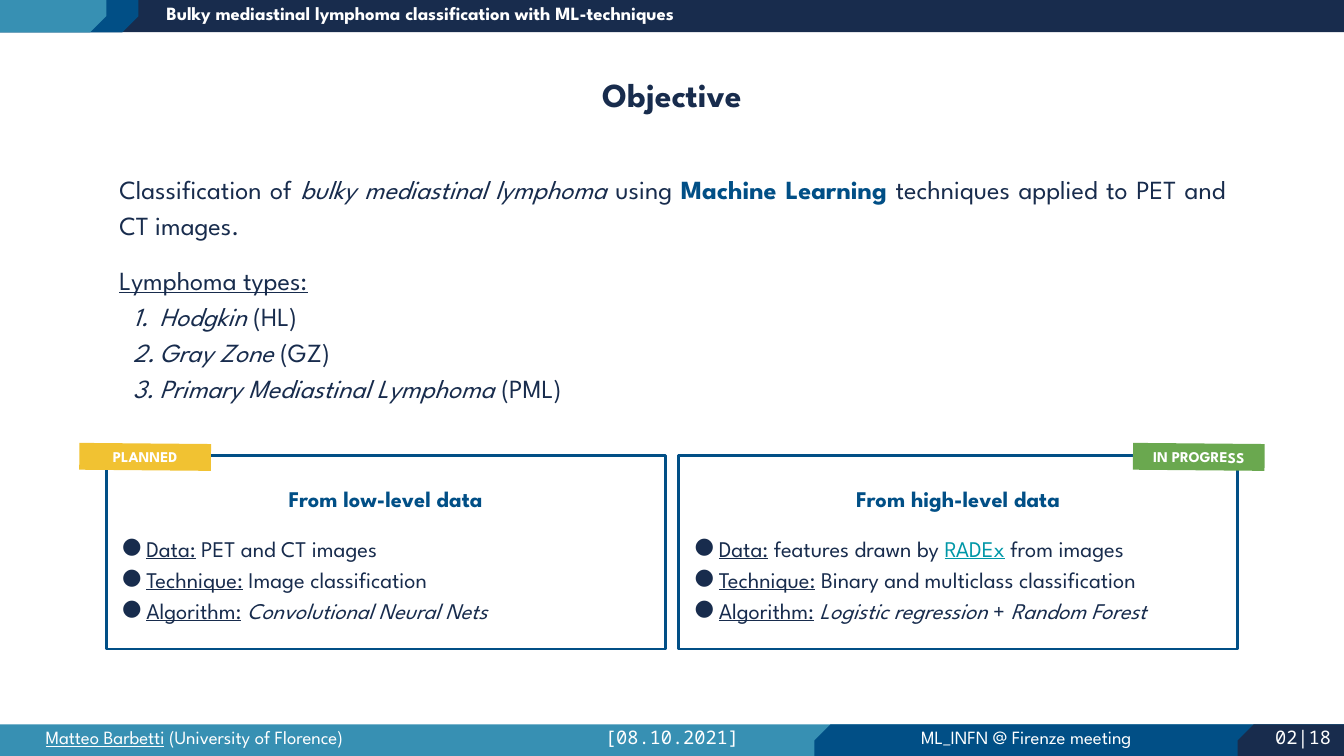
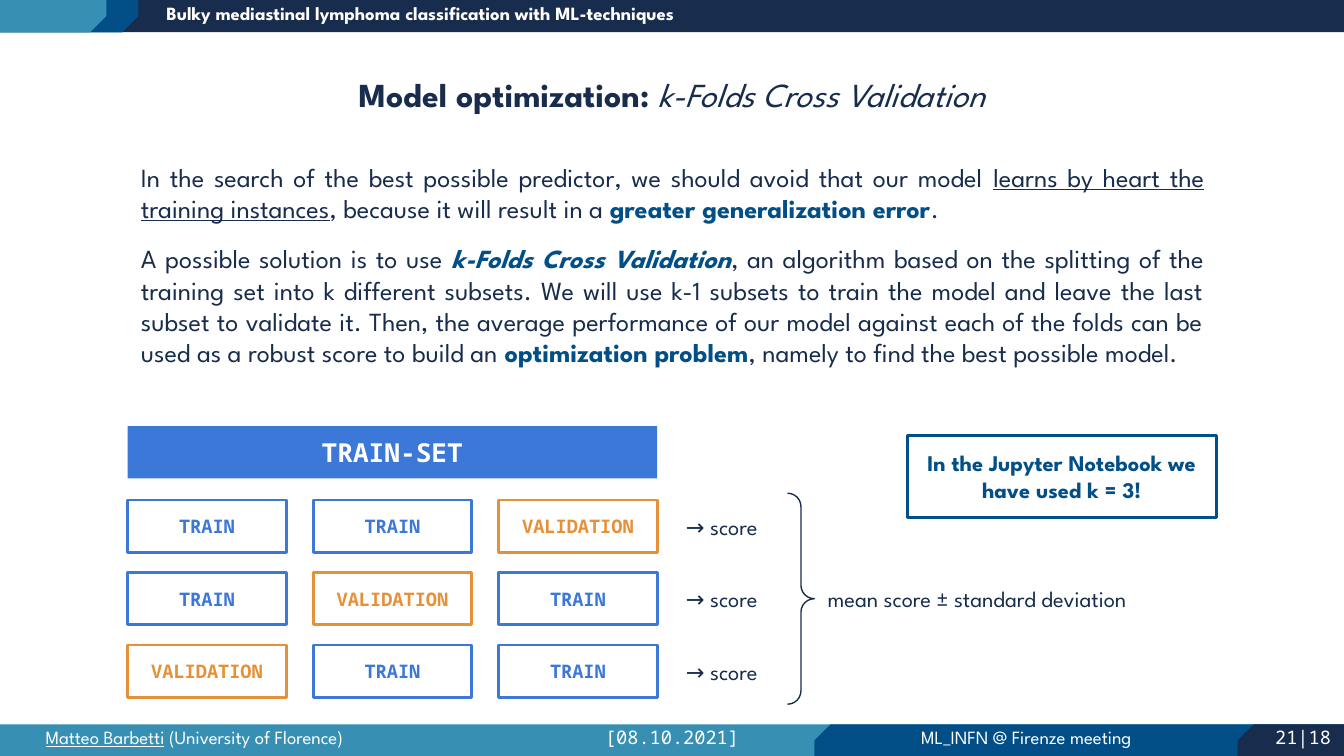
from dataclasses import dataclass
from typing import NamedTuple

from lxml.etree import SubElement
from pptx import Presentation
from pptx.dml.color import RGBColor
from pptx.enum.shapes import MSO_SHAPE
from pptx.enum.text import MSO_ANCHOR, PP_ALIGN
from pptx.oxml.ns import qn
from pptx.shapes.autoshape import Shape
from pptx.shapes.shapetree import GroupShapes, SlideShapes
from pptx.slide import Slide
from pptx.util import Inches, Pt

Shapes = SlideShapes | GroupShapes


@dataclass(frozen=True)
class Theme:
    navy: str = "182C4D"
    blue: str = "014F86"
    teal: str = "3790B3"
    white: str = "FFFFFF"
    link: str = "0097A7"
    planned: str = "F1C232"
    progress: str = "6AA84F"
    train: str = "3C78D8"
    validation: str = "E69138"
    sans: str = "League Spartan"
    mono: str = "Noto Sans Mono"
    title: int = 18
    body: int = 14
    detail: int = 12
    small: int = 10
    tag: int = 8
    frame_line: float = 1.5
    brace_line: float = 0.75


THEME = Theme()
SLIDE_WIDTH = 10
SLIDE_HEIGHT = SLIDE_WIDTH * 9 / 16
BAND_HEIGHT = 0.24
FOOTER_TOP = 5.39
TEXT_INSET = Inches(0.1)


class Area(NamedTuple):
    left: float
    top: float
    width: float
    height: float


class Span(NamedTuple):
    """A stretch of text in one style."""
    text: str
    bold: bool = False
    italic: bool = False
    underline: bool = False
    color: str = THEME.navy


class Bullet(NamedTuple):
    tag: str
    attribute: str
    value: str
    margin: float
    hanging: float


NUMBERED = Bullet("a:buAutoNum", "type", "arabicPeriod", 0.3, 0.2)
DOTTED = Bullet("a:buChar", "char", "●", 0.2, 0.18)


@dataclass(frozen=True)
class Para:
    spans: list[Span]
    size: int = THEME.body
    font: str = THEME.sans
    align: PP_ALIGN = PP_ALIGN.JUSTIFY
    spacing: float = 1.0
    before: int = 0
    bullet: Bullet | None = None


class BandLabel(NamedTuple):
    left: float
    top: float
    width: float
    spans: list[Span]
    font: str = THEME.sans
    align: PP_ALIGN = PP_ALIGN.CENTER


class Snip(NamedTuple):
    left: float
    top: float
    width: float
    color: str
    rotation: int = 0


class Approach(NamedTuple):
    heading: str
    data: list[Span]
    technique: list[Span]
    algorithm: list[Span]


class StatusTag(NamedTuple):
    left: float
    text: str
    color: str


LABEL_RISE = 0.07
PAGE_LEFT = 9.21
HEADER_SNIPS = [Snip(0, 0, 1.03, THEME.blue, 180), Snip(0, 0, 0.79, THEME.teal, 180)]
FOOTER_SNIPS = [
    Snip(6.06, FOOTER_TOP, SLIDE_WIDTH - 6.06, THEME.blue),
    Snip(PAGE_LEFT, FOOTER_TOP, SLIDE_WIDTH - PAGE_LEFT, THEME.navy),
]
BAND_LABELS = [
    BandLabel(1.14, 0, 4.72,
              [Span("Bulky mediastinal lymphoma classification with ML-techniques",
                    bold=True, color=THEME.white)], align=PP_ALIGN.LEFT),
    BandLabel(0.24, FOOTER_TOP, 3.15,
              [Span("Matteo Barbetti", underline=True, color=THEME.white),
               Span(" (University of Florence)", color=THEME.white)], align=PP_ALIGN.LEFT),
    BandLabel(4.34, FOOTER_TOP, 1.32, [Span("[08.10.2021]", color=THEME.white)], THEME.mono),
    BandLabel(6.06, FOOTER_TOP, 3.15, [Span("ML_INFN @ Firenze meeting", color=THEME.white)]),
]


def strong(text: str, color: str = THEME.blue) -> Span:
    return Span(text, bold=True, color=color)


def centered(span: Span, size: int, font: str = THEME.sans) -> list[Para]:
    return [Para([span], size, font, PP_ALIGN.CENTER)]


def write(shape: Shape, paras: list[Para], anchor: MSO_ANCHOR) -> None:
    frame = shape.text_frame
    frame.word_wrap = True
    frame.vertical_anchor = anchor
    frame.margin_left = frame.margin_right = TEXT_INSET
    frame.margin_top = frame.margin_bottom = TEXT_INSET
    for index, para in enumerate(paras):
        paragraph = frame.add_paragraph() if index else frame.paragraphs[0]
        paragraph.alignment = para.align
        paragraph.line_spacing = para.spacing
        paragraph.space_before = Pt(para.before)
        if para.bullet:
            add_bullet(paragraph._p.get_or_add_pPr(), para.bullet)
        for span in para.spans:
            run = paragraph.add_run()
            run.text = span.text
            run.font.name = para.font
            run.font.size = Pt(para.size)
            run.font.bold = span.bold
            run.font.italic = span.italic
            run.font.underline = span.underline
            run.font.color.rgb = RGBColor.from_string(span.color)


def add_bullet(properties, bullet: Bullet) -> None:
    properties.set("marL", str(Inches(bullet.margin)))
    properties.set("indent", str(-Inches(bullet.hanging)))
    tint = SubElement(properties, qn("a:buClr"))
    SubElement(tint, qn("a:srgbClr")).set("val", THEME.navy)
    SubElement(properties, qn("a:buFont")).set("typeface", THEME.sans)
    SubElement(properties, qn(bullet.tag)).set(bullet.attribute, bullet.value)


def add_text(shapes: Shapes, area: Area, paras: list[Para],
             anchor: MSO_ANCHOR = MSO_ANCHOR.MIDDLE) -> None:
    write(shapes.add_textbox(*map(Inches, area)), paras, anchor)


def add_block(shapes: Shapes, area: Area, fill: str | None = None, line: str | None = None,
              paras: list[Para] | None = None, kind: MSO_SHAPE = MSO_SHAPE.RECTANGLE,
              weight: float = THEME.frame_line) -> Shape:
    block = shapes.add_shape(kind, *map(Inches, area))
    block.shadow.inherit = False
    if fill:
        block.fill.solid()
        block.fill.fore_color.rgb = RGBColor.from_string(fill)
    else:
        block.fill.background()
    if line:
        block.line.color.rgb = RGBColor.from_string(line)
        block.line.width = Pt(weight)
    else:
        block.line.fill.background()
    if paras:
        write(block, paras, MSO_ANCHOR.MIDDLE)
    return block


def add_snip(shapes: Shapes, snip: Snip) -> None:
    block = add_block(shapes, Area(snip.left, snip.top, snip.width, BAND_HEIGHT), snip.color,
                      kind=MSO_SHAPE.SNIP_1_RECTANGLE)
    block.adjustments[0] = 0.5
    block.rotation = snip.rotation
    block._element.spPr.xfrm.set("flipH", "1")


def add_bands(slide: Slide, page: str) -> None:
    shapes = slide.shapes
    for top, color in ((0, THEME.navy), (FOOTER_TOP, THEME.teal)):
        add_block(shapes, Area(0, top, SLIDE_WIDTH, BAND_HEIGHT), color)
    for snip in HEADER_SNIPS + FOOTER_SNIPS:
        add_snip(shapes, snip)
    page_label = BandLabel(9.34, FOOTER_TOP, 0.71, [Span(page, color=THEME.white)], THEME.mono)
    for label in BAND_LABELS + [page_label]:
        add_text(shapes, Area(label.left, label.top - LABEL_RISE, label.width, 0.37),
                 [Para(label.spans, THEME.small, label.font, label.align)], MSO_ANCHOR.TOP)


def start_slide(deck: Presentation, title: list[Span], page: str) -> Slide:
    slide = deck.slides.add_slide(deck.slide_layouts[6])
    add_bands(slide, page)
    add_text(slide.shapes, Area(0, 0.45, SLIDE_WIDTH, 0.5),
             [Para(title, THEME.title, align=PP_ALIGN.CENTER)])
    return slide


def approach_paras(approach: Approach) -> list[Para]:
    facts = {"Data:": approach.data, "Technique:": approach.technique,
             "Algorithm:": approach.algorithm}
    heading = Para([strong(approach.heading)], THEME.detail, align=PP_ALIGN.CENTER, spacing=1.15)
    return [heading] + [
        Para([Span(name, underline=True), *spans], THEME.detail, spacing=1.15,
             before=0 if index else 10, bullet=DOTTED)
        for index, (name, spans) in enumerate(facts.items())
    ]


def build_objective(deck: Presentation) -> None:
    shapes = start_slide(deck, [strong("Objective", THEME.navy)], "02|18").shapes
    lymphomas = {"Hodgkin": " (HL)", "Gray Zone": " (GZ)",
                 "Primary Mediastinal Lymphoma": " (PML) "}
    goal = [Span("Classification of "), Span("bulky mediastinal lymphoma", italic=True),
            Span(" using "), strong("Machine Learning"),
            Span(" techniques applied to PET and CT images.")]
    add_text(shapes, Area(0.79, 1.17, 8.43, 1.92), [
        Para(goal, spacing=1.15),
        Para([Span("Lymphoma types:", underline=True)], spacing=1.15, before=10),
        *(Para([Span(name, italic=True), Span(short)], spacing=1.15, bullet=NUMBERED)
          for name, short in lymphomas.items()),
    ])
    approaches = [
        Approach("From low-level data", [Span(" PET and CT images")],
                 [Span(" Image classification")],
                 [Span(" "), Span("Convolutional Neural Nets", italic=True)]),
        Approach("From high-level data",
                 [Span(" features drawn by "), Span("RADEx", underline=True, color=THEME.link),
                  Span(" from images")],
                 [Span(" Binary and multiclass classification")],
                 [Span(" "), Span("Logistic regression", italic=True), Span(" + "),
                  Span("Random Forest", italic=True)]),
    ]
    for column, approach in enumerate(approaches):
        add_block(shapes, Area(0.79 + column * 4.26, 3.39, 4.16, 1.44), line=THEME.blue,
                  paras=approach_paras(approach))
    for tag in (StatusTag(8.43, "IN PROGRESS", THEME.progress),
                StatusTag(0.59, "PLANNED", THEME.planned)):
        block = add_block(shapes, Area(tag.left, 3.3, 0.98, 0.2), tag.color,
                          paras=centered(strong(tag.text, THEME.white), THEME.tag))
        block.rotation = 0.5


def add_folds(shapes: Shapes, folds: int = 3) -> None:
    """Draw the train set, its folds with the scores, and the brace that joins them."""
    left, top, cell_width, height = 0.95, 3.72, 1.18, 0.39
    total_width = 3.94
    column_step = (total_width - cell_width) / (folds - 1)
    row_step = 0.54
    add_block(shapes, Area(left, 3.17, total_width, height), THEME.train,
              paras=centered(strong("TRAIN-SET", THEME.white), THEME.body, THEME.mono))
    for row in range(folds):
        row_top = top + row * row_step
        for column in range(folds):
            held_out = row + column == folds - 1
            name, color = (("VALIDATION", THEME.validation) if held_out
                           else ("TRAIN", THEME.train))
            add_block(shapes, Area(left + column * column_step, row_top, cell_width, height),
                      line=color, paras=centered(strong(name, color), THEME.small, THEME.mono))
        add_text(shapes, Area(4.88, row_top, 0.98, height),
                 centered(Span("→ score"), THEME.detail))
    brace = add_block(shapes, Area(5.86, 3.67, 0.2, 1.57), line=THEME.navy,
                      kind=MSO_SHAPE.RIGHT_BRACE, weight=THEME.brace_line)
    brace.adjustments[0] = brace.adjustments[1] = 0.5
    add_text(shapes, Area(6.06, top + row_step, 3, height),
             [Para([Span("mean score ± standard deviation")], THEME.detail,
                   align=PP_ALIGN.LEFT)])


def build_cross_validation(deck: Presentation) -> None:
    title = [strong("Model optimization:", THEME.navy),
             Span(" k-Folds Cross Validation", italic=True)]
    shapes = start_slide(deck, title, "21|18").shapes
    problem = [
        Span("In the search of the best possible predictor, we should avoid that our model "),
        Span("learns by heart the training instances", underline=True),
        Span(", because it will result in a "), strong("greater generalization error"), Span("."),
    ]
    solution = [
        Span("A possible solution is to use "),
        Span("k-Folds Cross Validation", bold=True, italic=True, color=THEME.blue),
        Span(", an algorithm based on the splitting of the training set into k different "
             "subsets. We will use k-1 subsets to train the model and leave the last subset to "
             "validate it. Then, the average performance of our model against each of the folds "
             "can be used as a robust score to build an "),
        strong("optimization problem"), Span(", namely to find the best possible model."),
    ]
    add_folds(shapes.add_group_shape().shapes)
    add_text(shapes, Area(0.95, 1.1, 8.11, 1.99), [Para(problem), Para(solution, before=10)],
             MSO_ANCHOR.TOP)
    add_block(shapes, Area(6.75, 3.24, 2.3, 0.61), line=THEME.blue,
              paras=centered(strong("In the Jupyter Notebook we have used k = 3!"), THEME.detail))


def main() -> None:
    deck = Presentation()
    deck.slide_width, deck.slide_height = Inches(SLIDE_WIDTH), Inches(SLIDE_HEIGHT)
    build_objective(deck)
    build_cross_validation(deck)
    deck.save("out.pptx")


if __name__ == "__main__":
    main()
